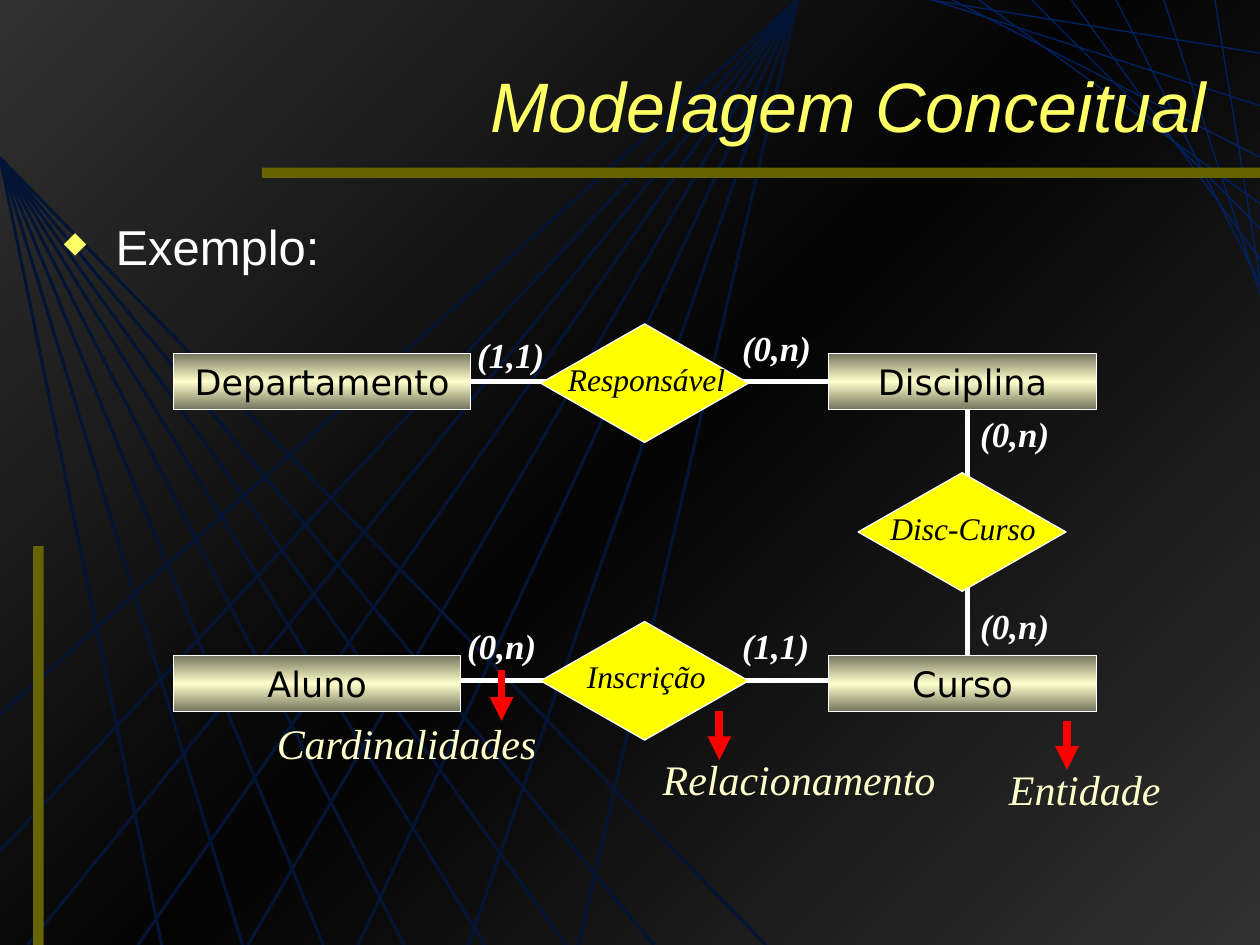
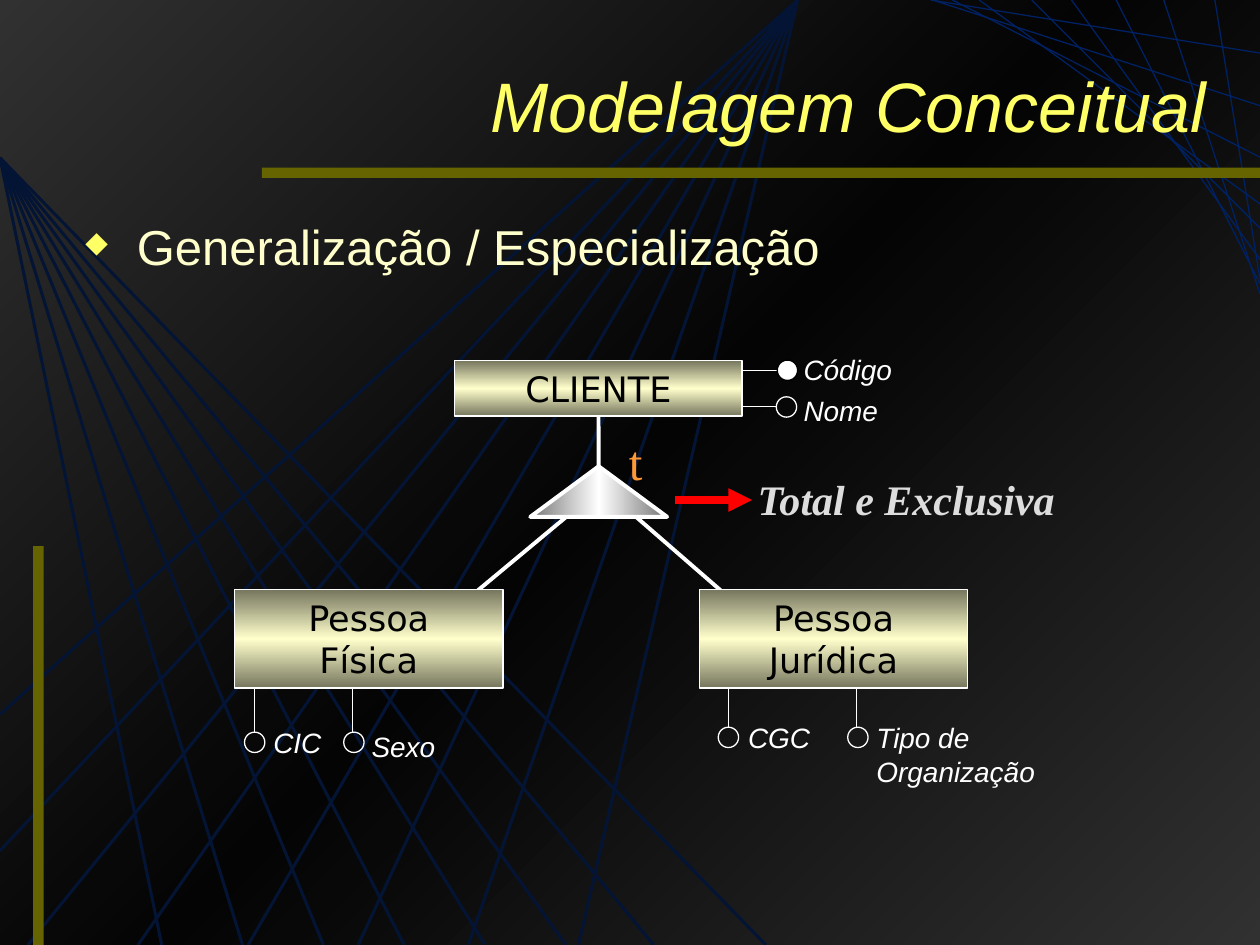
from copy import deepcopy

from lxml import etree
from pptx import Presentation
from pptx import util as u
from pptx.dml import color as dml
from pptx.enum import shapes, text
from pptx.oxml import ns

rgb = dml.RGBColor.from_string
Cm, Pt = u.Cm, u.Pt
WHITE, BLACK, YELLOW, CREAM = "FFFFFF", "000000", "FFFF66", "FFFFCC"
NAVY, OLIVE, RED = "002164", "666400", "FF0000"
SERIF = "Times New Roman"
W, H = 25.4, 19.05


def line(s, x1, y1, x2, y2, color, width, arrow=False):
    c = s.shapes.add_connector(shapes.MSO_CONNECTOR.STRAIGHT, Cm(x1), Cm(y1), Cm(x2), Cm(y2))
    c.line.color.rgb = rgb(color)
    c.line.width = Pt(width)
    if arrow:
        etree.SubElement(c.line._get_or_add_ln(), ns.qn("a:tailEnd"), type="triangle")
    etree.SubElement(c.element.spPr, ns.qn("a:effectLst"))
    return c


def write(tf, words, size, color, font="Arial", bold=False, italic=False, align="LEFT"):
    for i, words_line in enumerate(words.split("\n")):
        p = tf.add_paragraph() if i else tf.paragraphs[0]
        p.alignment = getattr(text.PP_ALIGN, align)
        r = p.add_run()
        r.text = words_line
        r.font.size, r.font.name = Pt(size), font
        r.font.bold, r.font.italic = bold, italic
        r.font.color.rgb = rgb(color)


prs = Presentation()
prs.slide_width, prs.slide_height = Cm(W), Cm(H)
layout = prs.slide_layouts[5]
for ph in list(layout.placeholders)[1:]:
    ph.element.getparent().remove(ph.element)
er, gen = [prs.slides.add_slide(layout) for _ in range(2)]

# Background: two fans of rays, a dark veil, bands and the corner net
fan_top = [(0, 14.4), (0, 17.15)] + [(0.56 + 2.22 * i, H) for i in range(6)]
fan_left = [(3.26 + 1.63 * i, H) for i in range(6)] + [(13.18, H), (15.44, H)]
for apex, ends in [((16.08, 0), fan_top), ((0, 3.18), fan_left)]:
    for end in ends:
        line(er, *apex, *end, NAVY, 1.75)

for x, y, w, h, color in [
    (0, 0, W, H, "080808"),
    (5.28, 3.38, 20.12, 0.21, OLIVE),
    (0.67, 11.01, 0.21, 8.04, OLIVE),
]:
    sp = er.shapes.add_shape(shapes.MSO_SHAPE.RECTANGLE, Cm(x), Cm(y), Cm(w), Cm(h))
    sp.shadow.inherit = False
    sp.fill.solid()
    sp.fill.fore_color.rgb = rgb(color)
    sp.line.fill.background()
    if color != OLIVE:
        veil = sp
        veil_color = next(sp.element.spPr.iter(ns.qn("a:srgbClr")))
        etree.SubElement(veil_color, ns.qn("a:alpha"), val="50000")

for top_x, right_y in [
    (18.76, 1.07), (18.8, 2.13), (19.2, 3.17), (19.74, 4.11), (20.8, 4.6),
    (21.6, 5.23), (22.5, 5.72), (23.46, 5.93), (24.49, 5.63),
]:
    veil.element.addnext(line(er, top_x, 0, W, right_y, NAVY, 0.75).element)

# The decoration belongs to the layout that both slides share
for sp in list(er.shapes):
    if not sp.is_placeholder:
        layout.shapes.element.append(sp.element)

# Title and bullet of each slide
for s, x, heading, color in [
    (er, 0.84, "Exemplo:", WHITE),
    (gen, 1.27, "Generalização / Especialização", CREAM),
]:
    title = s.shapes.title
    title.left, title.top, title.width, title.height = Cm(3.81), Cm(1.05), Cm(20.75), Cm(2.11)
    title.text_frame.vertical_anchor = text.MSO_ANCHOR.MIDDLE
    write(title.text_frame, "Modelagem Conceitual", 40, YELLOW, italic=True, align="RIGHT")

    tf = s.shapes.add_textbox(Cm(x), Cm(4.24), Cm(22.66), Cm(1.6)).text_frame
    tf.word_wrap = True
    pPr = tf.paragraphs[0]._p.get_or_add_pPr()
    pPr.set("marL", str(Cm(1.24)))
    pPr.set("indent", str(-Cm(1.04)))
    bullet_color = etree.SubElement(pPr, ns.qn("a:buClr"))
    etree.SubElement(bullet_color, ns.qn("a:srgbClr"), val=YELLOW)
    etree.SubElement(pPr, ns.qn("a:buSzPct"), val="60000")
    etree.SubElement(pPr, ns.qn("a:buChar"), char="◆")
    write(tf, heading, 28, color)

# Lines that run behind the shapes
for s, x1, y1, x2, y2, width in [
    (er, 8.89, 13.72, 17.09, 13.72, 3),
    (er, 19.51, 7.52, 19.51, 13.72, 3),
    (gen, 12.73, 10.34, 14.86, 12.19, 2.25),
    (gen, 12.22, 9.75, 9.25, 12.22, 2.25),
    (gen, 5.13, 13.77, 5.13, 14.76, 0.75),
    (gen, 7.11, 13.77, 7.11, 14.76, 0.75),
    (gen, 14.68, 13.77, 14.68, 14.66, 0.75),
    (gen, 17.27, 13.77, 17.27, 14.66, 0.75),
    (gen, 14.86, 7.47, 15.85, 7.47, 0.75),
    (gen, 14.94, 8.2, 15.65, 8.2, 0.75),
]:
    line(s, x1, y1, x2, y2, WHITE, width)

# Entities, relationships, specialization triangle and attribute circles
ENTITY = (shapes.MSO_SHAPE.RECTANGLE, ("76765E", CREAM, 90), WHITE, 0.75)
RELATION = (shapes.MSO_SHAPE.FLOWCHART_DECISION, "FFFF00", WHITE, 0.75)
TRIANGLE = (shapes.MSO_SHAPE.FLOWCHART_EXTRACT, ("767676", WHITE, 0), WHITE, 2.25)
ATTRIBUTE = (shapes.MSO_SHAPE.OVAL, None, WHITE, 0.75)
KEY = (shapes.MSO_SHAPE.OVAL, WHITE, BLACK, 0.75)
nodes = {}
gradients = [(layout.background.fill, layout.element, "5C5C5C", BLACK, 315)]
for s, name, look, x, y, w, h in [
    (er, "Disciplina", ENTITY, 16.7, 7.13, 5.41, 1.12),
    (er, "Departamento", ENTITY, 3.5, 7.13, 5.99, 1.12),
    (er, "Curso", ENTITY, 16.7, 13.22, 5.41, 1.12),
    (er, "Aluno", ENTITY, 3.5, 13.22, 5.79, 1.12),
    (er, "Disc-Curso", RELATION, 17.3, 9.53, 4.19, 2.39),
    (er, "Inscrição", RELATION, 10.9, 12.53, 4.19, 2.39),
    (er, "Responsável", RELATION, 10.9, 6.53, 4.19, 2.39),
    (gen, "Pessoa\nFísica", ENTITY, 4.73, 11.89, 5.41, 1.98),
    (gen, "CLIENTE", ENTITY, 9.17, 7.27, 5.79, 1.12),
    (gen, "Pessoa\nJurídica", ENTITY, 14.1, 11.89, 5.41, 1.98),
    (gen, "t", TRIANGLE, 10.69, 9.4, 2.76, 1.02),
    (gen, "CIC", ATTRIBUTE, 4.93, 14.76, 0.41, 0.41),
    (gen, "Sexo", ATTRIBUTE, 6.93, 14.76, 0.41, 0.41),
    (gen, "CGC", ATTRIBUTE, 14.48, 14.66, 0.41, 0.41),
    (gen, "Tipo", ATTRIBUTE, 17.09, 14.66, 0.41, 0.41),
    (gen, "Nome", ATTRIBUTE, 15.65, 8, 0.41, 0.41),
    (gen, "Código", KEY, 15.67, 7.26, 0.41, 0.41),
]:
    preset, fill, outline, width = look
    sp = nodes[name] = s.shapes.add_shape(preset, Cm(x), Cm(y), Cm(w), Cm(h))
    sp.shadow.inherit = False
    sp.line.color.rgb = rgb(outline)
    sp.line.width = Pt(width)
    if fill is None:
        sp.fill.background()
    elif isinstance(fill, tuple):
        gradients.append((sp.fill, sp.element, *fill))
    else:
        sp.fill.solid()
        sp.fill.fore_color.rgb = rgb(fill)
    if look is ENTITY:
        sp.text_frame.vertical_anchor = text.MSO_ANCHOR.MIDDLE
        write(sp.text_frame, name, 20, BLACK, "DejaVu Sans", align="CENTER")

# Gradients go from an edge colour to a middle colour and back
for fill, owner, edge, middle, angle in gradients:
    fill.gradient()
    fill.gradient_angle = angle
    for stop in fill.gradient_stops:
        stop.color.rgb = rgb(edge)
    stops = next(owner.iter(ns.qn("a:gsLst")))
    stops.insert(1, deepcopy(stops[0]))
    stops[1].set("pos", "50000")
    fill.gradient_stops[1].color.rgb = rgb(middle)

# Lines joined to the shapes, placed behind them
for s, start, start_side, end, end_side, width in [
    (er, "Departamento", 3, "Disciplina", 1, 3),
    (gen, "CLIENTE", 2, "t", 0, 2.25),
]:
    c = line(s, 0, 0, 1, 1, WHITE, width)
    c.begin_connect(nodes[start], start_side)
    c.end_connect(nodes[end], end_side)
    nodes[start].element.addprevious(c.element)

# Labels
relation = dict(size=18, color=BLACK, font=SERIF, italic=True)
cardinality = dict(size=20, color=WHITE, font=SERIF, bold=True, italic=True)
legend = dict(size=24, color=CREAM, font=SERIF, italic=True)
attribute = dict(size=16, color=WHITE, italic=True)
total = dict(size=28, color="FF9933", font=SERIF, align="CENTER")
total_legend = dict(size=24, color="DDDDDD", font=SERIF, bold=True, italic=True, align="CENTER")
for s, words, style, x, y, w in [
    (er, "Inscrição", relation, 11.58, 13.13, 3),
    (er, "Disc-Curso", relation, 17.7, 10.13, 3.5),
    (er, "Responsável", relation, 11.2, 7.14, 3.75),
    (er, "(0,n)", cardinality, 9.17, 12.47, 2),
    (er, "(1,1)", cardinality, 14.71, 12.47, 2),
    (er, "(0,n)", cardinality, 19.51, 12.07, 2),
    (er, "(0,n)", cardinality, 19.51, 8.2, 2),
    (er, "(0,n)", cardinality, 14.71, 6.45, 2),
    (er, "(1,1)", cardinality, 9.37, 6.6, 2),
    (er, "Entidade", legend, 20.09, 15.27, 3.7),
    (er, "Relacionamento", legend, 13.11, 15.06, 6.2),
    (er, "Cardinalidades", legend, 5.33, 14.33, 5.9),
    (gen, "CIC", attribute, 5.26, 14.5, 2.26),
    (gen, "Sexo", attribute, 7.24, 14.58, 2.26),
    (gen, "CGC", attribute, 14.83, 14.4, 2.26),
    (gen, "Tipo de\nOrganização", attribute, 17.42, 14.4, 4.62),
    (gen, "Código", attribute, 15.95, 6.99, 3.61),
    (gen, "Nome", attribute, 15.95, 7.8, 2.26),
    (gen, "t", total, 12.42, 8.57, 0.79),
    (gen, "Total e Exclusiva", total_legend, 14.98, 9.42, 6.58),
]:
    height = Pt(1.2 * style["size"]) * len(words.split("\n")) + Cm(0.25)
    tf = s.shapes.add_textbox(Cm(x), Cm(y), Cm(w), height).text_frame
    tf.word_wrap = style not in (total, total_legend)
    write(tf, words, **style)

# Red arrows to the legends
for s, x1, y1, x2, y2 in [
    (er, 21.51, 14.53, 21.51, 15.52),
    (er, 14.5, 14.33, 14.5, 15.32),
    (er, 10.11, 13.51, 10.11, 14.53),
    (gen, 13.61, 10.08, 15.16, 10.08),
]:
    line(s, x1, y1, x2, y2, RED, 4.5, arrow=True)

prs.save("out.pptx")
